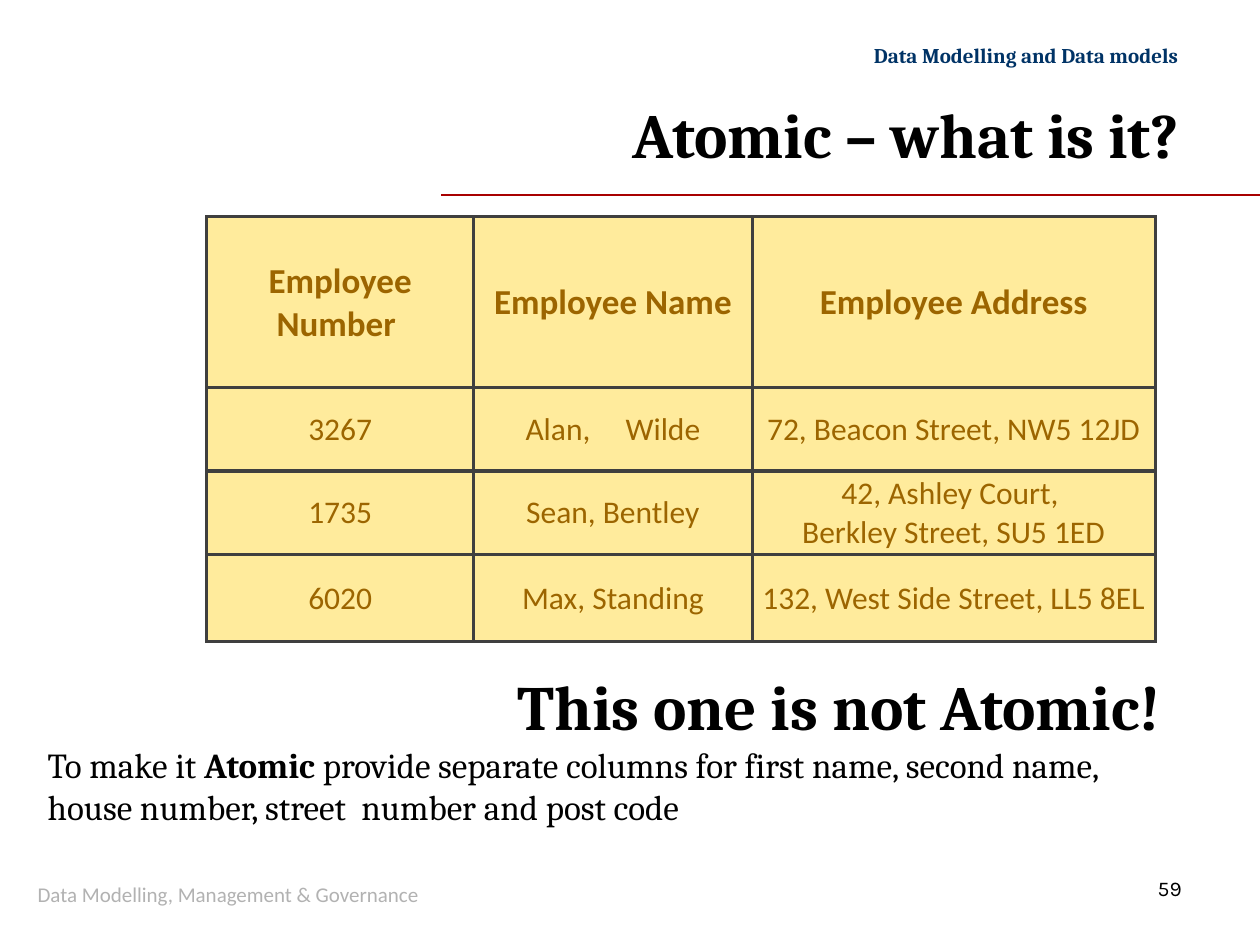
from lxml.etree import SubElement
from pptx import Presentation
from pptx.dml.color import RGBColor as Rgb
from pptx.enum.shapes import MSO_CONNECTOR as Connector
from pptx.enum.text import MSO_ANCHOR as Anchor, MSO_AUTO_SIZE as AutoSize, PP_ALIGN as Align
from pptx.oxml.ns import qn
from pptx.util import Pt

COLORS = {
    "ink": "000000", "header": "003366", "rule": "A80000", "footer": "B2B2B2",
    "cell": "FFEB9C", "cell_text": "9C6500", "border": "3F3F3F",
}
TITLE = {"name": "Cambria", "size": 36, "bold": True, "color": "ink"}
BODY = {"name": "Cambria", "size": 20, "bold": False, "color": "ink"}
STRONG = {**BODY, "bold": True}
HEADER = {"name": "Cambria", "size": 12, "bold": True, "color": "header"}
FOOTER = {"name": "Calibri", "size": 12, "bold": False, "color": "footer"}
NUMBER = {"name": "Karla", "size": 12, "bold": False, "color": "ink"}
COLUMN_HEAD = {"name": "Calibri", "size": 20, "bold": True, "color": "cell_text"}
CELL = {**COLUMN_HEAD, "size": 18, "bold": False}

NAME_GAP = 16
COLUMN_WIDTHS = [152.6, 159.1, 230.4]
ROW_HEIGHTS = [97.9, 47.5, 47.5, 49.7]
EMPLOYEES = [
    ["Employee Number ", "Employee Name", "Employee Address"],
    ["3267", "Alan, Wilde", "72, Beacon Street, NW5 12JD"],
    ["1735", "Sean, Bentley", "42, Ashley Court, \nBerkley Street, SU5 1ED"],
    ["6020", "Max, Standing", "132, West Side Street, LL5 8EL"],
]


def color(name):
    return Rgb.from_string(COLORS[name])


def add_span(para, text, style):
    span = para.add_run()
    span.text = text
    span.font.color.rgb = color(style["color"])
    for key in ("name", "bold"):
        setattr(span.font, key, style[key])
    span.font.size = Pt(style["size"])
    return span


def fill_frame(frame, paragraphs, anchor=Anchor.TOP):
    """Write (alignment, [(text, style), ...]) paragraphs into a text frame."""
    frame.word_wrap = True
    frame.vertical_anchor = anchor
    for index, (align, spans) in enumerate(paragraphs):
        para = frame.add_paragraph() if index else frame.paragraphs[0]
        para.alignment = align
        for text, style in spans:
            add_span(para, text, style)


def add_text(page, box, paragraphs, anchor=Anchor.TOP):
    shape = page.shapes.add_textbox(*map(Pt, box))
    fill_frame(shape.text_frame, paragraphs, anchor)


def add_title(page, box):
    title = page.shapes.title
    title.left, title.top, title.width, title.height = map(Pt, box)
    title.text_frame.auto_size = AutoSize.NONE
    fill_frame(title.text_frame, [(Align.RIGHT, [("Atomic – what is it?", TITLE)])], Anchor.MIDDLE)


def add_rule(page, left, top, width):
    rule = page.shapes.add_connector(
        Connector.STRAIGHT, Pt(left), Pt(top), Pt(left + width), Pt(top))
    rule.line.color.rgb = color("rule")
    rule.line.width = Pt(0.75)
    SubElement(rule._element.spPr, qn("a:effectLst"))


def style_cell(cell):
    """Set margins, borders and fill; the borders must precede the fill in the XML."""
    margins = {"margin_left": 0.75, "margin_top": 0.75, "margin_right": 0.75, "margin_bottom": 0}
    for key, value in margins.items():
        setattr(cell, key, Pt(value))
    properties = cell._tc.get_or_add_tcPr()
    for side in ("lnL", "lnR", "lnT", "lnB"):
        line = SubElement(properties, qn(f"a:{side}"), w=str(Pt(2)))
        fill = SubElement(line, qn("a:solidFill"))
        SubElement(fill, qn("a:srgbClr"), val=COLORS["border"])
    cell.fill.solid()
    cell.fill.fore_color.rgb = color("cell")


def widen_name_gap(cell):
    """Space out the blank between the first and the second name."""
    para = cell.text_frame.paragraphs[0]
    first, second = para.text.split(" ")
    para.runs[0].text = first
    gap = add_span(para, " ", CELL)
    gap.font._element.set("spc", str(NAME_GAP * 100))
    add_span(para, second, CELL)


def add_employee_table(page, left, top):
    size = sum(COLUMN_WIDTHS), sum(ROW_HEIGHTS)
    frame = page.shapes.add_table(
        len(ROW_HEIGHTS), len(COLUMN_WIDTHS), *map(Pt, (left, top, *size)))
    table = frame.table
    for column, width in zip(table.columns, COLUMN_WIDTHS):
        column.width = Pt(width)
    for row_index, (row, height) in enumerate(zip(table.rows, ROW_HEIGHTS)):
        row.height = Pt(height)
        style = CELL if row_index else COLUMN_HEAD
        for cell, text in zip(row.cells, EMPLOYEES[row_index]):
            style_cell(cell)
            lines = [(Align.CENTER, [(line, style)]) for line in text.split("\n")]
            fill_frame(cell.text_frame, lines)
            cell.vertical_anchor = Anchor.MIDDLE
    widen_name_gap(table.cell(1, 1))


def add_conclusion(page, box):
    add_text(page, box, [
        (Align.RIGHT, [("This one is not Atomic!", TITLE)]),
        (Align.LEFT, [
            ("To make it ", BODY),
            ("Atomic", STRONG),
            (" provide separate columns for first name, second name, "
             "house number, street  number and post code", BODY),
        ]),
    ], Anchor.MIDDLE)


def main():
    deck = Presentation()
    deck.slide_width, deck.slide_height = Pt(720), Pt(540)
    page = deck.slides.add_slide(deck.slide_layouts[5])
    add_rule(page, 252, 111.4, 468)
    add_text(page, (486, 20.9, 194.4, 21.6),
             [(Align.RIGHT, [("Data Modelling and Data models", HEADER)])])
    add_text(page, (654.5, 496.8, 45.4, 21.6), [(Align.LEFT, [("59", NUMBER)])])
    add_title(page, (128.9, 49, 552.2, 54))
    add_employee_table(page, 118.1, 123.8)
    add_conclusion(page, (20.2, 400.3, 650.2, 54))
    add_text(page, (14.4, 496.8, 317.5, 28.8),
             [(Align.LEFT, [("Data Modelling, Management & Governance", FOOTER)])],
             Anchor.MIDDLE)
    deck.save("out.pptx")


if __name__ == "__main__":
    main()
